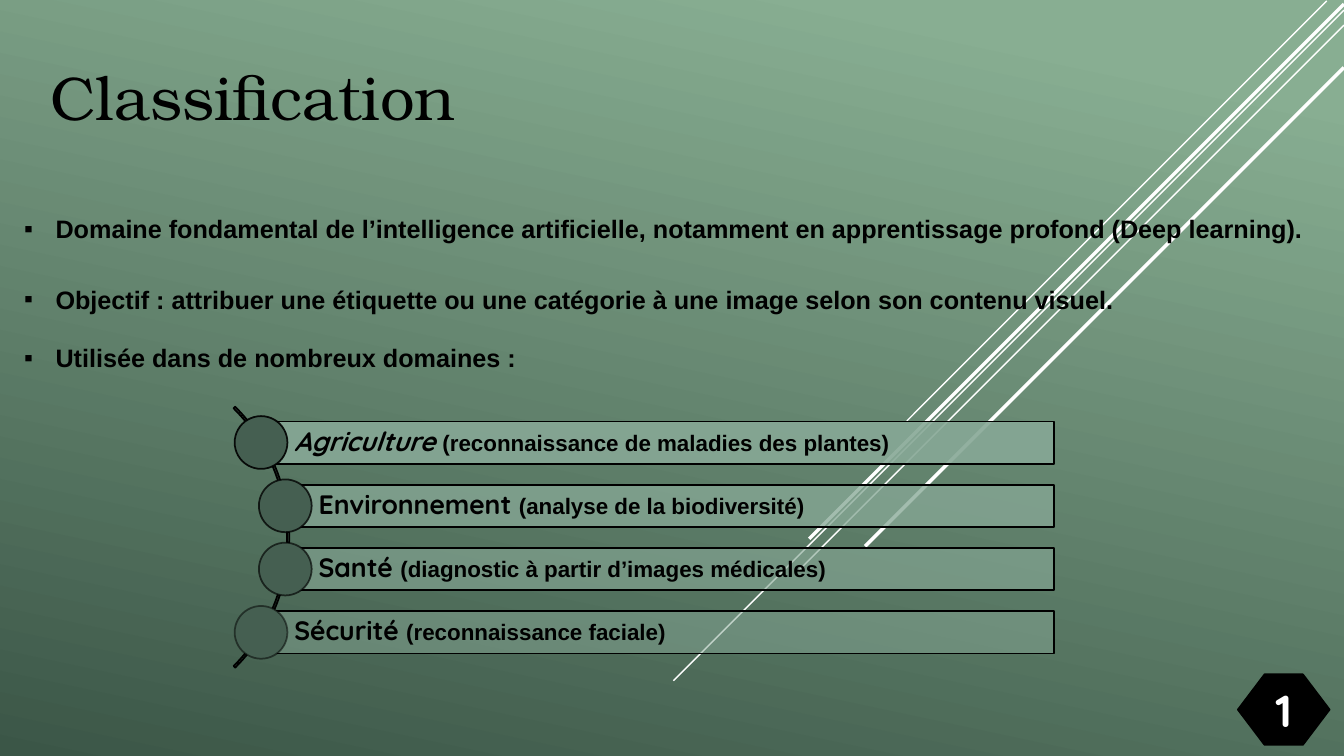
from lxml import etree
from pptx import Presentation
from pptx.dml.color import RGBColor
from pptx.enum import shapes, text
from pptx.oxml import ns
from pptx.util import Pt

BLACK, WHITE = "000000", "FFFFFF"
LIGHT_GREEN, DARK_GREEN = "87A896", "455F51"


def paint(fill, color, opacity=100, element=None):
    """Fill solidly; below 100 percent, add alpha to the solid fill inside element."""
    fill.solid()
    fill.fore_color.rgb = RGBColor.from_string(color)
    if opacity < 100:
        rgb = element.xpath("a:solidFill/a:srgbClr")[0]
        etree.SubElement(rgb, ns.qn("a:alpha"), val=str(opacity * 1000))


def style(font, size, name, color=BLACK, bold=True):
    font.size, font.name, font.bold = Pt(size), name, bold
    paint(font.fill, color)


prs = Presentation()
prs.slide_width, prs.slide_height = Pt(960), Pt(540)
slide = prs.slides.add_slide(prs.slide_layouts[6])

backdrop = slide.background.fill
backdrop.gradient()
backdrop.gradient_angle = 360 - 102
for stop, position, color in zip(backdrop.gradient_stops, (0.1, 1), ("88AE92", "3B5647")):
    stop.position = position
    stop.color.rgb = RGBColor.from_string(color)

# Diagonal rays at 45 degrees: right end, top, run, weight
for right, top, run, weight in [
    (947.7, 0.7, 300, 1),
    (960, 7.2, 479, 1),
    (960, 18, 390, 1),
    (960, 2.9, 382, 2.5),
    (960, 48.2, 342, 2.5),
]:
    ray = slide.shapes.add_connector(
        shapes.MSO_CONNECTOR.STRAIGHT, Pt(right), Pt(top), Pt(right - run), Pt(top + run))
    paint(ray.line.fill, WHITE)
    ray.line.width = Pt(weight)
    etree.SubElement(ray.element.spPr, ns.qn("a:effectLst"))

title = slide.shapes.add_textbox(Pt(28.8), Pt(38.2), Pt(682.6), Pt(60.5)).text_frame
title.word_wrap = True
title.text = "Classification"
style(title.paragraphs[0].font, 44, "TeX Gyre Bonum", bold=False)

for top, width, height, spacing, statement in [
    (149, 939.6, 28.8, 1, "Domaine fondamental de l’intelligence artificielle, "
     "notamment en apprentissage profond (Deep learning)."),
    (188.6, 873.4, 36, 1.5, "Objectif : attribuer une étiquette ou une catégorie "
     "à une image selon son contenu visuel."),
    (241.2, 481, 28.8, 1, "Utilisée dans de nombreux domaines :"),
]:
    point = slide.shapes.add_textbox(Pt(10.1), Pt(top), Pt(width), Pt(height)).text_frame
    point.word_wrap = True
    point.text = statement
    paragraph = point.paragraphs[0]
    paragraph.line_spacing = spacing
    properties = paragraph._p.get_or_add_pPr()
    properties.set("marL", str(Pt(22.5)))
    properties.set("indent", str(-Pt(22.5)))
    etree.SubElement(properties, ns.qn("a:buFont"), typeface="Arial")
    etree.SubElement(properties, ns.qn("a:buChar"), char="▪")
    style(paragraph.font, 18, "Arial")

arc = slide.shapes.add_shape(
    shapes.MSO_SHAPE.BLOCK_ARC, Pt(-56.9), Pt(252), Pt(263.5), Pt(263.5))
arc.shadow.inherit = False
arc.adjustments[0], arc.adjustments[1], arc.adjustments[2] = 189, 27, 0.006
arc.fill.background()
paint(arc.line.fill, BLACK)
arc.line.width = Pt(1.25)

# Application domains: bar left, opacity, domain, example
BAR_TOP, BAR_PITCH, BAR_HEIGHT, BAR_RIGHT = 301, 45.2, 30.2, 753.1
CIRCLE = 37.7
for row, (left, opacity, domain, example) in enumerate([
    (186.5, 90, "Agriculture ", "(reconnaissance de maladies des plantes)"),
    (203.8, 77, "Environnement ", "(analyse de la biodiversité)"),
    (203.8, 63, "Santé ", "(diagnostic à partir d’images médicales)"),
    (186.5, 50, "Sécurité ", "(reconnaissance faciale)"),
]):
    top = BAR_TOP + row * BAR_PITCH
    bar = slide.shapes.add_shape(
        shapes.MSO_SHAPE.RECTANGLE, Pt(left), Pt(top), Pt(BAR_RIGHT - left), Pt(BAR_HEIGHT))
    bar.shadow.inherit = False
    paint(bar.fill, LIGHT_GREEN, opacity, bar.element.spPr)
    paint(bar.line.fill, BLACK)
    bar.line.width = Pt(1.25)

    label = bar.text_frame
    label.vertical_anchor = text.MSO_ANCHOR.MIDDLE
    label.margin_left = Pt(23.8)
    label.margin_top = label.margin_right = label.margin_bottom = Pt(3.6)
    paragraph = label.paragraphs[0]
    paragraph.alignment = text.PP_ALIGN.LEFT
    paragraph.line_spacing = 0.9
    for words, size, face in [(domain, 19, "Quicksand"), (example, 16, "Arial")]:
        run = paragraph.add_run()
        run.text = words
        style(run.font, size, face)
    paragraph.runs[0].font.italic = row == 0

    circle = slide.shapes.add_shape(
        shapes.MSO_SHAPE.OVAL, Pt(left - CIRCLE / 2), Pt(top + (BAR_HEIGHT - CIRCLE) / 2),
        Pt(CIRCLE), Pt(CIRCLE))
    circle.shadow.inherit = False
    paint(circle.fill, DARK_GREEN)
    circle.line.width = Pt(1.25)
    paint(circle.line.fill, BLACK, opacity, circle.element.spPr.ln)

badge = slide.shapes.add_shape(
    shapes.MSO_SHAPE.HEXAGON, Pt(884.2), Pt(481.7), Pt(65.5), Pt(50.4))
badge.shadow.inherit = False
badge.adjustments[0] = 0.378
paint(badge.fill, BLACK)
paint(badge.line.fill, BLACK)
badge.line.width = Pt(1.25)
badge.text_frame.text = "1"
badge.text_frame.vertical_anchor = text.MSO_ANCHOR.MIDDLE
number = badge.text_frame.paragraphs[0]
number.alignment = text.PP_ALIGN.CENTER
style(number.font, 32, "Quicksand", WHITE)

prs.save("out.pptx")
